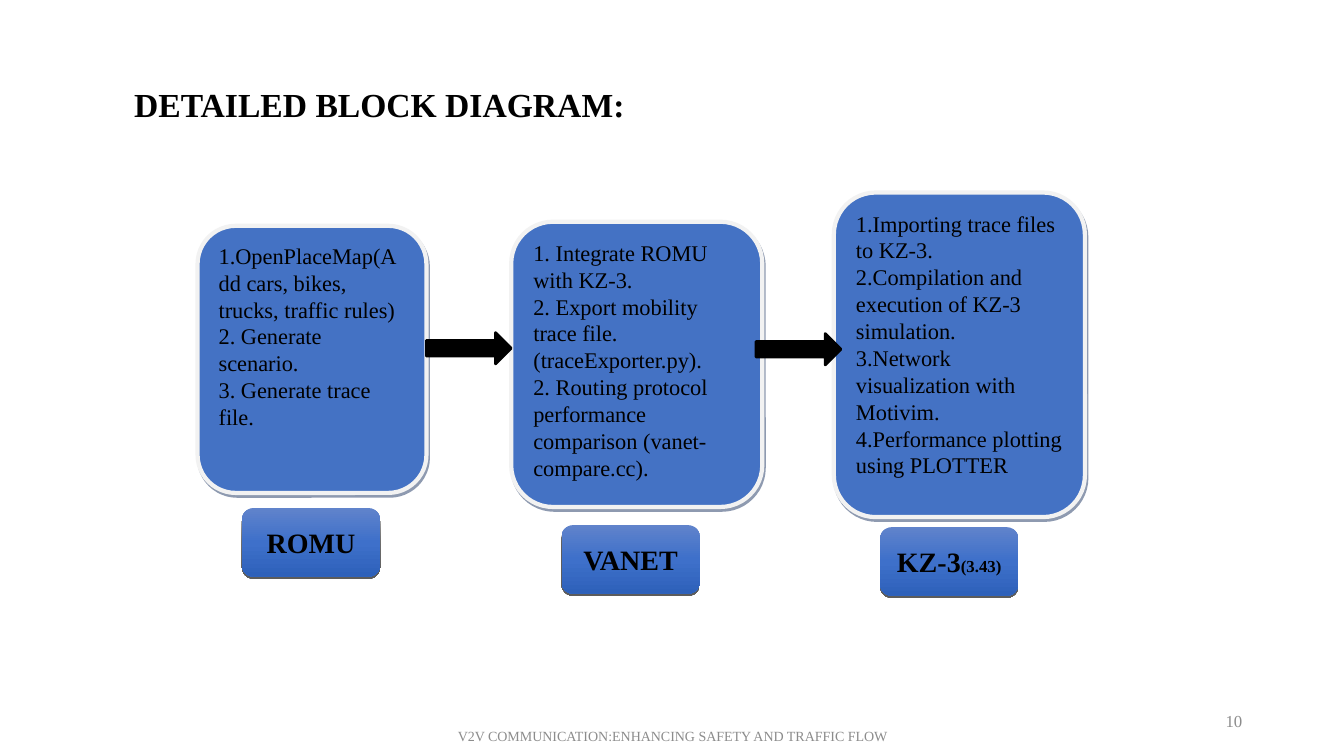
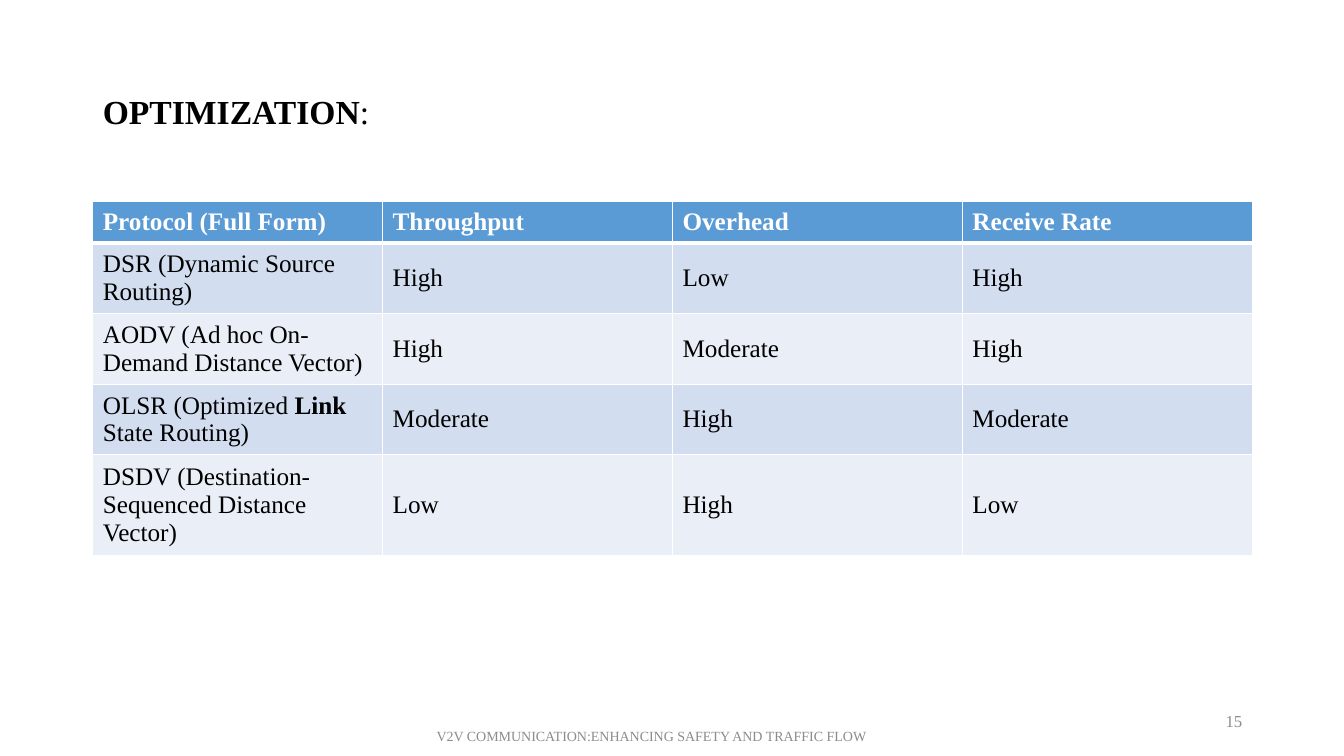
from copy import deepcopy
from pptx import Presentation
from pptx.dml.color import RGBColor
from pptx.enum.shapes import MSO_SHAPE
from pptx.enum.text import MSO_ANCHOR, MSO_AUTO_SIZE, PP_ALIGN
from pptx.oxml import parse_xml
from pptx.oxml.ns import nsdecls, qn
from pptx.util import Inches, Pt

FONT = "Times New Roman"
BLACK = RGBColor(0x00, 0x00, 0x00)
WHITE = RGBColor(0xFF, 0xFF, 0xFF)
GRAY = RGBColor(0x8C, 0x8C, 0x8C)
BLUE = RGBColor(0x44, 0x72, 0xC4)
EDGE = RGBColor(0xF2, 0xF2, 0xF2)
NAVY = RGBColor(0x1F, 0x37, 0x63)
LABEL_STOPS = [(0, RGBColor(0x60, 0x83, 0xCB)), (0.5, RGBColor(0x3E, 0x70, 0xCA)),
               (1, RGBColor(0x2E, 0x61, 0xBA))]
HEADER = RGBColor(0x5B, 0x9B, 0xD5)
BANDS = [RGBColor(0xD2, 0xDE, 0xEF), RGBColor(0xEA, 0xEF, 0xF7)]

# Content: a paragraph is a string or a list of runs; a run is a string or (text, format)
FOOTER = "V2V COMMUNICATION:ENHANCING SAFETY AND TRAFFIC FLOW"

# Each stage: box place, steps, label place, label
LABEL_SIZE = (1.37, 0.68)
STAGES = [
    ((1.96, 2.24, 2.27, 2.65),
     ["1.OpenPlaceMap(Add cars, bikes, trucks, traffic rules)",
      "2. Generate scenario.",
      "3. Generate trace file."],
     (2.4, 5.04), "ROMU"),
    ((5.07, 2.2, 2.49, 2.83),
     ["1. Integrate ROMU with KZ-3.",
      "2. Export mobility trace file.(traceExporter.py).",
      "2. Routing protocol performance comparison (vanet-compare.cc)."],
     (5.57, 5.21), "VANET"),
    ((8.27, 1.91, 2.49, 3.22),
     ["1.Importing trace files to KZ-3.",
      "2.Compilation and execution of KZ-3 simulation.",
      "3.Network visualization with Motivim.",
      "4.Performance plotting using PLOTTER"],
     (8.73, 5.23), ["KZ-3", ("(3.43)", {"size": 12})]),
]
ARROWS = [(4.23, 3.3), (7.5, 3.31)]
ARROW_SIZE = (0.84, 0.31)

PROTOCOLS = [
    ["Protocol (Full Form)", "Throughput", "Overhead", "Receive Rate"],
    ["DSR (Dynamic Source Routing)", "High", "Low", "High"],
    ["AODV (Ad hoc On-Demand Distance Vector)", "High", "Moderate", "High"],
    [["OLSR (Optimized ", ("Link", {"bold": True}), " State Routing)"],
     "Moderate", "High", "Moderate"],
    ["DSDV (Destination-Sequenced Distance Vector)", "Low", "High", "Low"],
]
ROW_HEIGHT = 0.41  # rows grow with their text


def write(tf, paras, size=16, color=BLACK, bold=False, align=PP_ALIGN.LEFT,
          anchor=MSO_ANCHOR.MIDDLE, spacing=1.0):
    tf.word_wrap = True
    tf.vertical_anchor = anchor
    for i, runs in enumerate(paras):
        p = tf.paragraphs[0] if i == 0 else tf.add_paragraph()
        p.alignment, p.line_spacing = align, spacing
        for run in [runs] if isinstance(runs, str) else runs:
            text, own = (run, {}) if isinstance(run, str) else run
            r = p.add_run()
            r.text = text
            r.font.name = FONT
            r.font.size = Pt(own.get("size", size))
            r.font.bold = own.get("bold", bold)
            r.font.color.rgb = color


def place(at):
    return [Inches(v) for v in at]


def add_box(s, kind, at, fill=None, line=None, width=0):
    sp = s.shapes.add_shape(kind, *place(at))
    sp.shadow.inherit = False
    if fill is not None:
        sp.fill.solid()
        sp.fill.fore_color.rgb = fill
    if line is None:
        sp.line.fill.background()
    else:
        sp.line.color.rgb = line
        sp.line.width = Pt(width)
    return sp


def add_shadow(sp, color, alpha, dist, angle):
    sp._element.spPr.find(qn("a:effectLst")).append(parse_xml(
        f'<a:outerShdw {nsdecls("a")} dist="{Pt(dist)}" dir="{angle * 60000}" algn="ctr" '
        f'rotWithShape="0"><a:srgbClr val="{color}"><a:alpha val="{alpha * 1000}"/>'
        '</a:srgbClr></a:outerShdw>'))


def add_gradient(sp, stops):
    sp.fill.gradient()
    sp.fill.gradient_angle = 270
    gs_list = sp._element.spPr.find(".//" + qn("a:gsLst"))
    while len(gs_list) < len(stops):
        gs_list.append(deepcopy(gs_list[0]))
    for stop, (position, color) in zip(sp.fill.gradient_stops, stops):
        stop.position = position
        stop.color.rgb = color


def set_borders(cell, bottom):
    tc_pr = cell._tc.get_or_add_tcPr()
    for i, (side, width) in enumerate([("L", 1), ("R", 1), ("T", 1), ("B", bottom)]):
        tc_pr.insert(i, parse_xml(
            f'<a:ln{side} {nsdecls("a")} w="{Pt(width)}"><a:solidFill>'
            f'<a:srgbClr val="{WHITE}"/></a:solidFill></a:ln{side}>'))


def add_slide(prs, title, number, title_at, footer_left, **title_format):
    s = prs.slides.add_slide(prs.slide_layouts[5])
    sp = s.shapes.title
    sp.left, sp.top, sp.width, sp.height = place(title_at)
    sp.text_frame.auto_size = MSO_AUTO_SIZE.NONE
    write(sp.text_frame, [title], size=24, bold=True, **title_format)
    for at, text, size, align in [
            ((9.42, 6.95, 3, 0.4), number, 12, PP_ALIGN.RIGHT),
            ((footer_left, 7.1, 4.5, 0.4), FOOTER, 10, PP_ALIGN.CENTER)]:
        tf = s.shapes.add_textbox(*place(at)).text_frame
        write(tf, [text], size=size, color=GRAY, align=align)
    return s


def build_diagram(prs):
    s = add_slide(prs, "DETAILED BLOCK DIAGRAM:", "10", (1.23, 0.78, 6.2, 0.5), 4.42,
                  anchor=MSO_ANCHOR.TOP)
    # Stage boxes and their labels
    for box_at, steps, label_at, label in STAGES:
        box = add_box(s, MSO_SHAPE.ROUNDED_RECTANGLE, box_at, BLUE, EDGE, 3)
        add_shadow(box, NAVY, 50, 2.2, 63)
        write(box.text_frame, steps, anchor=MSO_ANCHOR.TOP)
        tag = add_box(s, MSO_SHAPE.ROUNDED_RECTANGLE, label_at + LABEL_SIZE)
        add_gradient(tag, LABEL_STOPS)
        add_shadow(tag, BLACK, 63, 1.5, 90)
        write(tag.text_frame, [label], size=20, bold=True, align=PP_ALIGN.CENTER)
    # Arrows between stages
    for at in ARROWS:
        add_box(s, MSO_SHAPE.RIGHT_ARROW, at + ARROW_SIZE, BLACK, BLACK, 2)


def build_table(prs):
    s = add_slide(prs, ["OPTIMIZATION", (":", {"bold": False})], "15",
                  (0.92, 0.4, 11.5, 1.45), 4.21, spacing=0.9)
    at = (0.92, 2, 11.5, ROW_HEIGHT * len(PROTOCOLS))
    frame = s.shapes.add_table(len(PROTOCOLS), len(PROTOCOLS[0]), *place(at))
    table = frame.table
    for i, row in enumerate(PROTOCOLS):
        head = i == 0
        for j, text in enumerate(row):
            cell = table.cell(i, j)
            cell.fill.solid()
            cell.fill.fore_color.rgb = HEADER if head else BANDS[(i - 1) % 2]
            cell.vertical_anchor = MSO_ANCHOR.MIDDLE
            write(cell.text_frame, [text], size=18, bold=head,
                  color=WHITE if head else BLACK)
            set_borders(cell, 3 if head else 1)
    frame.height = Inches(3.51)


def main():
    prs = Presentation()
    prs.slide_width, prs.slide_height = Inches(13.33), Inches(7.5)
    build_diagram(prs)
    build_table(prs)
    prs.save("out.pptx")


if __name__ == "__main__":
    main()
